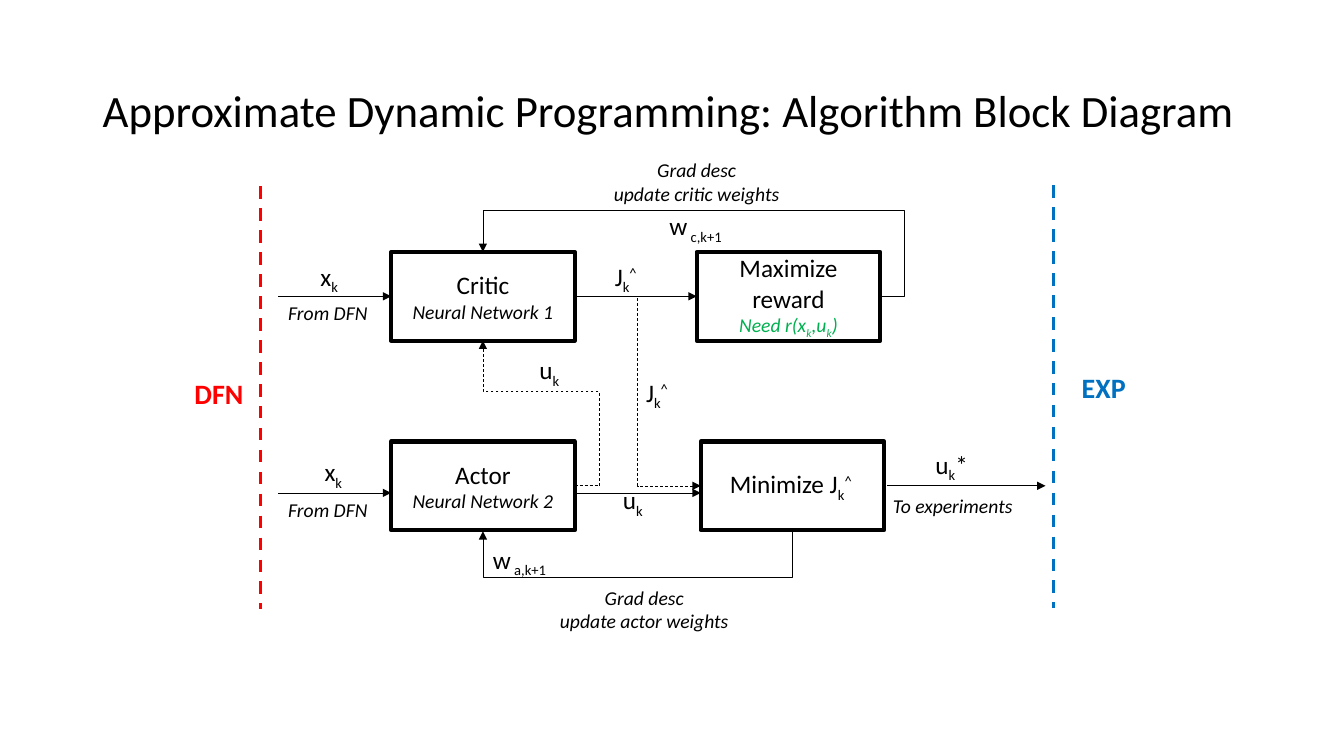
from lxml import etree
from pptx import Presentation
from pptx.dml.color import RGBColor
from pptx.enum.dml import MSO_LINE
from pptx.enum.shapes import MSO_CONNECTOR, MSO_SHAPE
from pptx.enum.text import MSO_ANCHOR, MSO_AUTO_SIZE, PP_ALIGN
from pptx.oxml.ns import qn
from pptx.util import Inches, Pt

BLACK, WHITE, RED, BLUE, GREEN = "000000", "FFFFFF", "FF0000", "0070C0", "00B050"
SUB, SUPER = -25, 30
K, HAT = ("k", SUB), ("^", SUPER)
BOX_WIDTH, BOX_HEIGHT = 1.82, 0.88
CRITIC_TOP, ACTOR_TOP = 2.5, 4.38


def color(hex_code):
    """Return the RGB colour for a hex string."""
    return RGBColor.from_string(hex_code)


def write(frame, lines, align, size=18, ink=BLACK, italic=False, bold=False):
    """Write lines, each a string or a list of strings and (text, baseline) pairs."""
    for index, line in enumerate(lines):
        para = frame.paragraphs[0] if index == 0 else frame.add_paragraph()
        para.alignment = align
        for part in [line] if isinstance(line, str) else line:
            text, baseline = (part, 0) if isinstance(part, str) else part
            span = para.add_run()
            span.text = text
            font = span.font
            font.name, font.size = "Calibri", Pt(size)
            font.italic, font.bold = italic, bold
            font.color.rgb = color(ink)
            if baseline:
                span._r.get_or_add_rPr().set("baseline", str(baseline * 1000))


def add_title(page, text):
    """Add the slide title, centred vertically in its area."""
    box = page.shapes.add_textbox(Inches(0.92), Inches(0.4), Inches(11.5), Inches(1.45))
    frame = box.text_frame
    frame.word_wrap = True
    frame.vertical_anchor = MSO_ANCHOR.MIDDLE
    write(frame, [text], PP_ALIGN.LEFT, size=32)
    frame.paragraphs[0].line_spacing = 0.9


def add_label(page, left, top, width, height, lines, centered=False, **style):
    """Add a free text label that fits its text."""
    box = page.shapes.add_textbox(Inches(left), Inches(top), Inches(width), Inches(height))
    frame = box.text_frame
    frame.word_wrap = centered
    frame.auto_size = MSO_AUTO_SIZE.SHAPE_TO_FIT_TEXT
    write(frame, lines, PP_ALIGN.CENTER if centered else PP_ALIGN.LEFT, **style)


def add_block(page, left, top, heading, detail=None, detail_ink=BLACK):
    """Add a framed block with a heading and an optional italic detail line."""
    block = page.shapes.add_shape(
        MSO_SHAPE.RECTANGLE, Inches(left), Inches(top), Inches(BOX_WIDTH), Inches(BOX_HEIGHT))
    block.shadow.inherit = False
    block.fill.solid()
    block.fill.fore_color.rgb = color(WHITE)
    block.line.color.rgb = color(BLACK)
    block.line.width = Pt(3)
    frame = block.text_frame
    frame.word_wrap = True
    frame.vertical_anchor = MSO_ANCHOR.MIDDLE
    write(frame, [heading], PP_ALIGN.CENTER)
    if detail:
        para = frame.add_paragraph()
        para.alignment = PP_ALIGN.CENTER
        for part in detail:
            text, baseline = (part, 0) if isinstance(part, str) else part
            span = para.add_run()
            span.text = text
            span.font.name, span.font.size, span.font.italic = "Calibri", Pt(14), True
            span.font.color.rgb = color(detail_ink)
            if baseline:
                span._r.get_or_add_rPr().set("baseline", str(baseline * 1000))


def add_line(page, start, end, kind=MSO_CONNECTOR.STRAIGHT, ink=BLACK, width=0.5,
             dashed=False, arrow=True):
    """Add a connector between two points, with an arrowhead at its end."""
    line = page.shapes.add_connector(kind, *(Inches(value) for value in start + end))
    line.line.color.rgb = color(ink)
    line.line.width = Pt(width)
    if dashed:
        line.line.dash_style = MSO_LINE.DASH
    if arrow:
        outline = line.line._get_or_add_ln()
        etree.SubElement(outline, qn("a:tailEnd"), type="triangle")
    etree.SubElement(line._element.spPr, qn("a:effectLst"))
    return line


def add_elbow(page, start, end, adjustments, turn=0, dashed=False):
    """Add a bent arrow whose corners follow the given adjustments."""
    line = add_line(page, start, end, MSO_CONNECTOR.ELBOW, dashed=dashed)
    properties = line._element.spPr
    if turn:
        properties.find(qn("a:xfrm")).set("rot", str(turn * 60000))
    geometry = properties.find(qn("a:prstGeom"))
    geometry.set("prst", f"bentConnector{len(adjustments) + 2}")
    guides = geometry.find(qn("a:avLst"))
    if guides is None:
        guides = etree.SubElement(geometry, qn("a:avLst"))
    for number, value in enumerate(adjustments, 1):
        etree.SubElement(guides, qn("a:gd"), name=f"adj{number}",
                         fmla=f"val {round(value * 100000)}")


def add_blocks(page):
    """Add the four blocks of the algorithm."""
    add_block(page, 3.88, CRITIC_TOP, "Critic", ["Neural Network 1"])
    add_block(page, 3.88, ACTOR_TOP, "Actor", ["Neural Network 2"])
    add_block(page, 6.91, CRITIC_TOP, "Maximize reward", ["Need r(x", K, ",u", K, ")"], GREEN)
    add_block(page, 6.95, ACTOR_TOP, ["Minimize J", K, ("^ ", SUPER)])


def add_arrows(page):
    """Add the signal and feedback arrows."""
    for start, end, height in [(2.76, 3.88, 2.94), (5.7, 6.91, 2.94), (2.76, 3.88, 4.89),
                               (5.71, 6.95, 4.89), (8.8, 10.37, 4.82)]:
        add_line(page, (start, height), (end, height))
    add_elbow(page, (5.7, 4.82), (4.79, 3.38), [-0.27, 0.65], dashed=True)
    add_elbow(page, (5.7, 2.94), (6.95, 4.82), [0.5], dashed=True)
    add_elbow(page, (8.73, 2.94), (4.79, 2.5), [-0.06, 1.93])
    add_elbow(page, (6.32, 3.73), (6.33, 6.8), [48], turn=90)


def add_labels(page):
    """Add the signal names and the notes beside the arrows."""
    for left, top, width, spans in [
            (3.08, 2.54, 0.39, ["x", K]), (3.12, 4.48, 0.39, ["x", K]),
            (6, 2.54, 0.44, ["J", K, HAT]), (6.31, 3.69, 0.44, ["J", K, HAT]),
            (5.25, 3.47, 0.41, ["u", K]), (6.08, 4.76, 0.41, ["u", K]),
            (9.18, 4.41, 0.54, ["u", K, "*"]),
            (6.54, 2.04, 0.78, ["w", (" c,k+1", SUB)]),
            (4.79, 5.35, 0.79, ["w", (" a,k+1", SUB)])]:
        add_label(page, left, top, width, 0.4, [spans])
    for top in (2.94, 4.89):
        add_label(page, 2.76, top, 0.99, 0.34, ["From DFN"], size=14, italic=True)
    for left, top, width, height, lines in [
            (5.97, 1.52, 1.88, 0.57, ["Grad desc", "update critic weights"]),
            (5.45, 5.76, 1.88, 0.57, ["Grad desc", "update actor weights"]),
            (8.73, 4.85, 1.44, 0.34, ["To experiments"])]:
        add_label(page, left, top, width, height, lines, centered=True, size=14, italic=True)


def add_boundary(page, x, top, name, left, name_top, width, ink):
    """Add a dashed vertical boundary and its name."""
    add_line(page, (x, top), (x, top + 4.19), ink=ink, width=2.25, dashed=True, arrow=False)
    add_label(page, left, name_top, width, 0.44, [name], size=20, ink=ink, bold=True)


def main():
    """Build the block diagram slide and save it."""
    deck = Presentation()
    deck.slide_width, deck.slide_height = Inches(13.33), Inches(7.5)
    page = deck.slides.add_slide(deck.slide_layouts[6])
    add_title(page, "Approximate Dynamic Programming: Algorithm Block Diagram")
    add_blocks(page)
    add_arrows(page)
    add_labels(page)
    add_boundary(page, 2.58, 1.85, "DFN", 1.83, 3.69, 0.69, RED)
    add_boundary(page, 10.45, 1.84, "EXP", 10.63, 3.63, 0.64, BLUE)
    deck.save("out.pptx")


main()
